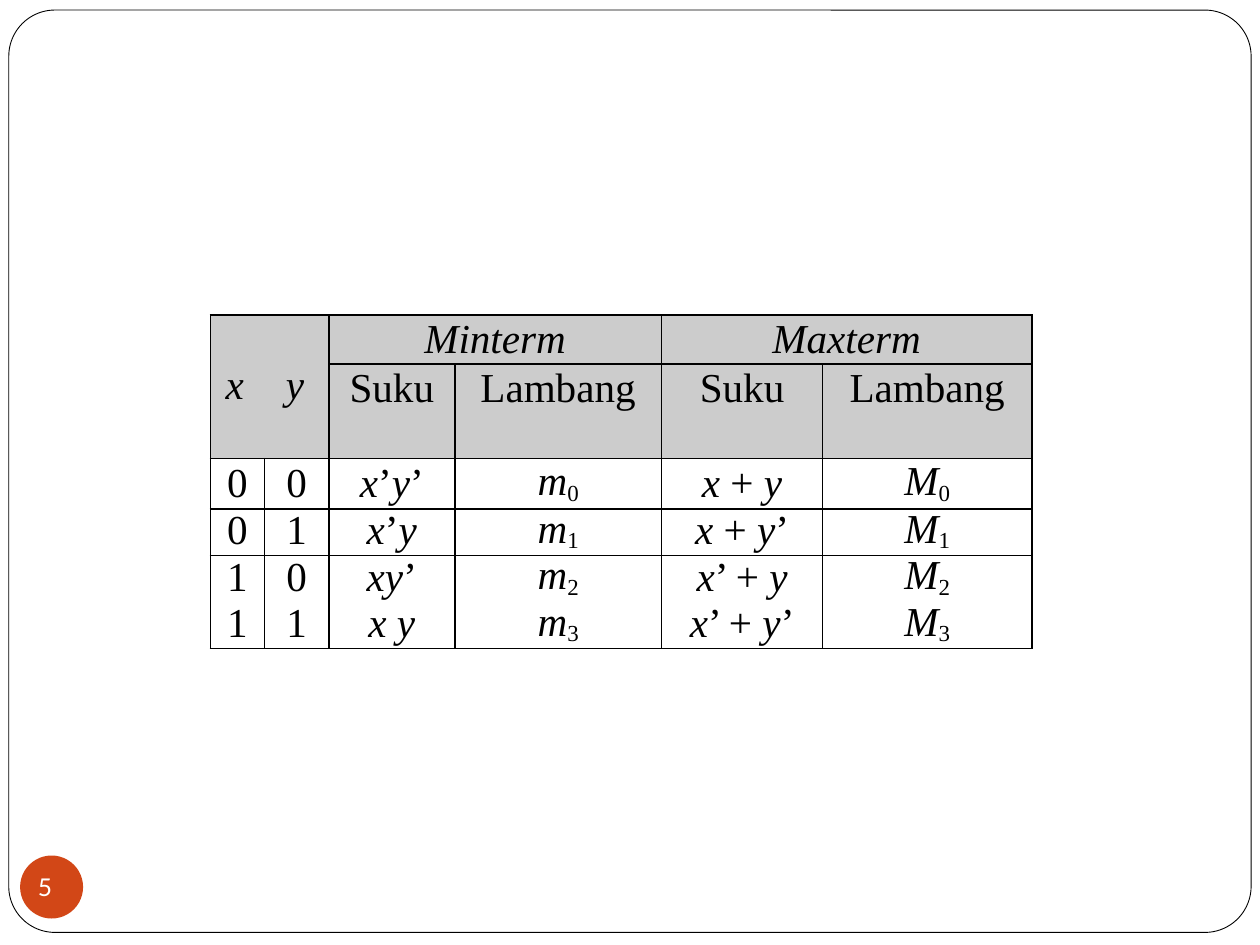
from itertools import groupby

from lxml import etree
from pptx import Presentation
from pptx.dml.color import RGBColor
from pptx.enum.shapes import MSO_SHAPE
from pptx.enum.text import PP_ALIGN
from pptx.oxml.ns import qn
from pptx.util import Inches, Pt

ROUNDED, OVAL = MSO_SHAPE.ROUNDED_RECTANGLE, MSO_SHAPE.OVAL
LEFT, CENTER = PP_ALIGN.LEFT, PP_ALIGN.CENTER
BLACK, WHITE, GREY, ORANGE = "000000", "FFFFFF", "CCCCCC", "D24717"
NO_STYLE = "{2D5ABB26-0587-4C30-8999-92F81FD0307C}"
SERIF = {"name": "Times New Roman", "size": Pt(23.5)}

COLUMNS = [0.43, 0.51, 1, 1.64, 1.28, 1.66]
ROWS = [0.39, 0.75, 0.4, 0.37, 0.37, 0.37]
LINE_SPACING = [26.9, 27, 27.1, 25.4, 25.4, 25.3]
HEADER_ROWS = 2
EDGES = ["LRTB", "LRTB", "LRTB", "LRT", "LR", "LRB"]
VARIABLE_EDGES = ["LTB", "RTB"]
SUBHEADS = ["Suku", "Lambang", "Suku", "Lambang"]
TERMS = [
    ["0", "0", "x’y’", "m0", "x + y", "M0"],
    ["0", "1", "x’y", "m1", "x + y’", "M1"],
    ["1", "0", "xy’", "m2", "x’ + y", "M2"],
    ["1", "1", "x y", "m3", "x’ + y’", "M3"],
]


def color(value):
    return RGBColor.from_string(value)


def add_plain_shape(slide, kind, left, top, width, height, fill=None, line=None):
    shape = slide.shapes.add_shape(
        kind, Inches(left), Inches(top), Inches(width), Inches(height))
    shape.shadow.inherit = False
    if fill:
        shape.fill.solid()
        shape.fill.fore_color.rgb = color(fill)
    else:
        shape.fill.background()
    if line:
        shape.line.color.rgb = color(line)
        shape.line.width = Pt(0.5)
    else:
        shape.line.fill.background()
    return shape


def add_run(paragraph, text, formats, font_color=BLACK):
    run = paragraph.add_run()
    run.text = text
    for name, value in formats.items():
        setattr(run.font, name, value)
    run.font.color.rgb = color(font_color)
    return run


def set_margins(target, left=0, top=0):
    margins = {"margin_left": left, "margin_top": top,
               "margin_right": 0, "margin_bottom": 0}
    for name, value in margins.items():
        setattr(target, name, Inches(value))


def write_formula(paragraph, text):
    """Letters are italic; digits after a letter are subscripts."""
    for is_letter, letters in groupby(text, str.isalpha):
        part = "".join(letters)
        run = add_run(paragraph, part, {**SERIF, "italic": is_letter})
        if part.isdigit() and part != text:
            run.font.size = Pt(22.5)
            run.font._element.set("baseline", "-13000")


def set_borders(cell, edges):
    properties = cell._tc.get_or_add_tcPr()
    for position, edge in enumerate(edge for edge in "LRTB" if edge in edges):
        line = etree.Element(qn(f"a:ln{edge}"), w=str(Pt(1)))
        fill = etree.SubElement(line, qn("a:solidFill"))
        etree.SubElement(fill, qn("a:srgbClr"), val=BLACK)
        properties.insert(position, line)


def format_cell(table, row, column, edges):
    cell = table.cell(row, column)
    set_margins(cell)
    if row < HEADER_ROWS:
        cell.fill.solid()
        cell.fill.fore_color.rgb = color(GREY)
    else:
        cell.fill.background()
    set_borders(cell, edges)
    paragraph = cell.text_frame.paragraphs[0]
    paragraph.alignment = CENTER
    paragraph.line_spacing = Pt(LINE_SPACING[row])
    return cell, paragraph


def add_header(table):
    # Variables span both header rows
    for column, (name, indent) in enumerate([("x", 0.12), ("y", 0.17)]):
        table.cell(0, column).merge(table.cell(1, column))
        cell, paragraph = format_cell(table, 0, column, VARIABLE_EDGES[column])
        set_margins(cell, left=indent, top=0.37)
        paragraph.alignment = LEFT
        write_formula(paragraph, name)
    # Each group heading spans two columns
    for column, name in [(2, "Minterm"), (4, "Maxterm")]:
        table.cell(0, column).merge(table.cell(0, column + 1))
        paragraph = format_cell(table, 0, column, EDGES[0])[1]
        write_formula(paragraph, name)
    for column, name in enumerate(SUBHEADS, start=2):
        paragraph = format_cell(table, 1, column, EDGES[1])[1]
        add_run(paragraph, name, SERIF)


def add_term_table(slide):
    frame = slide.shapes.add_table(
        len(ROWS), len(COLUMNS), Inches(1.67), Inches(2.5),
        Inches(sum(COLUMNS)), Inches(sum(ROWS)))
    table = frame.table
    table.first_row = table.horz_banding = False
    table._tbl.tblPr.find(qn("a:tableStyleId")).text = NO_STYLE
    for column, width in zip(table.columns, COLUMNS):
        column.width = Inches(width)
    for row, height in zip(table.rows, ROWS):
        row.height = Inches(height)
    add_header(table)
    for row, terms in enumerate(TERMS, start=HEADER_ROWS):
        for column, term in enumerate(terms):
            paragraph = format_cell(table, row, column, EDGES[row])[1]
            write_formula(paragraph, term)


def add_page_number(slide, number):
    add_plain_shape(slide, OVAL, 0.16, 6.79, 0.5, 0.5, fill=ORANGE)
    box = slide.shapes.add_textbox(
        Inches(0.27), Inches(6.92), Inches(0.27), Inches(0.25))
    box.text_frame.word_wrap = True
    set_margins(box.text_frame, left=0.03)
    paragraph = box.text_frame.paragraphs[0]
    paragraph.line_spacing = Pt(16.6)
    add_run(paragraph, number, {"name": "Lato", "size": Pt(14)}, WHITE)


def main():
    presentation = Presentation()
    presentation.slide_width, presentation.slide_height = Inches(10), Inches(7.5)
    slide = presentation.slides.add_slide(presentation.slide_layouts[6])
    # Page frame
    frame = add_plain_shape(slide, ROUNDED, 0.07, 0.08, 9.86, 7.32, line=BLACK)
    frame.adjustments[0] = 0.05
    # Content
    add_term_table(slide)
    add_page_number(slide, "5")
    presentation.save("out.pptx")


if __name__ == "__main__":
    main()
